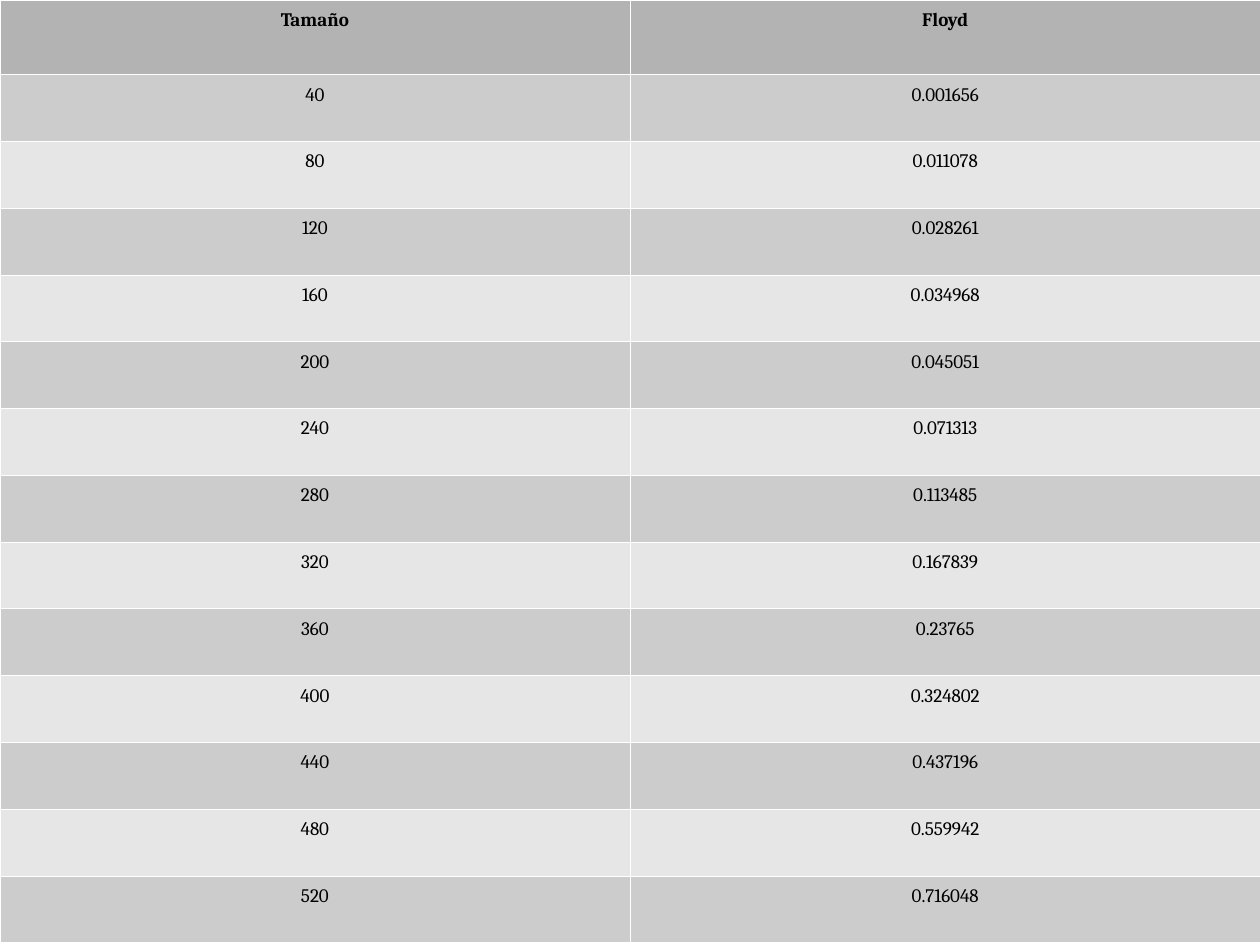
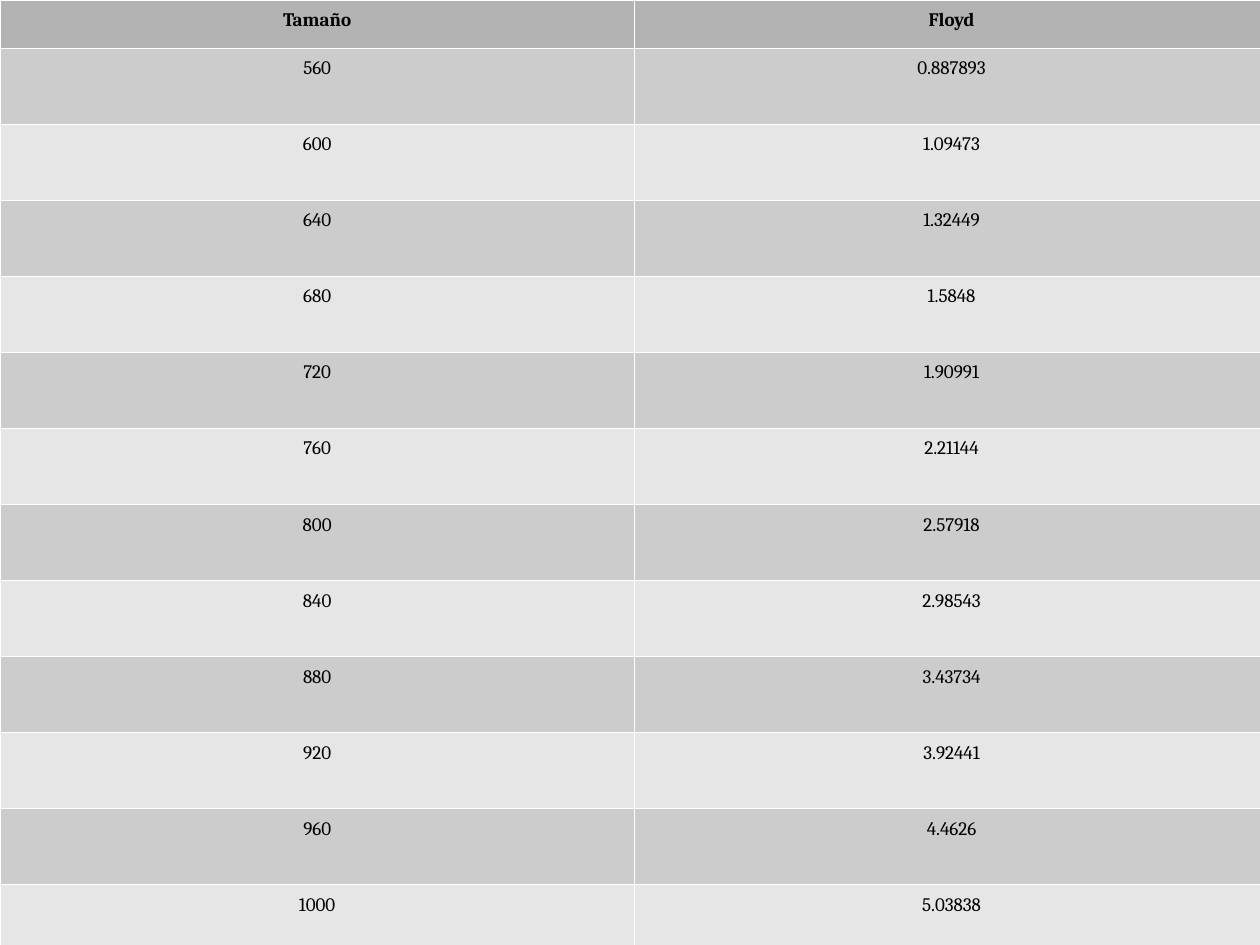
"""Build two slides of Floyd running times by problem size."""
from dataclasses import dataclass

import lxml.etree
import pptx
import pptx.dml.color
import pptx.enum.text
import pptx.oxml.ns
import pptx.slide
import pptx.table
import pptx.util

Cm = pptx.util.Cm
Inches = pptx.util.Inches
Pt = pptx.util.Pt
RGBColor = pptx.dml.color.RGBColor
qn = pptx.oxml.ns.qn


@dataclass(frozen=True)
class Theme:
    """Colours, type and borders shared by the slides."""
    header: str = "B3B3B3"
    bands: tuple[str, str] = ("CCCCCC", "E6E6E6")
    border: str = "FFFFFF"
    border_pt: float = 0.11
    text: str = "000000"
    font: str = "Cambria"
    size: float = 12
    line_spacing: float = 1.18


@dataclass(frozen=True)
class TimingTable:
    """Running times and the grid that holds them, in inches."""
    first_size: int
    times: tuple[str, ...]
    columns: tuple[float, float]
    header_row: float
    body_row: float
    last_row: float


THEME = Theme()
SLIDE_WIDTH, SLIDE_HEIGHT = Cm(28), Cm(21)
HEADINGS = ("Tamaño", "Floyd")
SIZE_STEP = 40
HEADER_1 = 0.65
BODY_1 = (8.25 - HEADER_1) / 13
HEADER_2, LAST_2 = 0.42, 0.53
BODY_2 = (8.27 - HEADER_2 - LAST_2) / 11

TABLES = (
    TimingTable(40, ("0.001656", "0.011078", "0.028261", "0.034968", "0.045051",
                     "0.071313", "0.113485", "0.167839", "0.23765", "0.324802",
                     "0.437196", "0.559942", "0.716048"),
                (5.51, 5.52), HEADER_1, BODY_1, BODY_1),
    TimingTable(560, ("0.887893", "1.09473", "1.32449", "1.5848", "1.90991",
                      "2.21144", "2.57918", "2.98543", "3.43734", "3.92441",
                      "4.4626", "5.03838"),
                (5.55, 5.55), HEADER_2, BODY_2, LAST_2),
)


def set_borders(cell: pptx.table._Cell) -> None:
    """Draw the four thin borders of a cell, ahead of its fill."""
    tc_pr = cell._tc.get_or_add_tcPr()
    for i, side in enumerate(("a:lnL", "a:lnR", "a:lnT", "a:lnB")):
        ln = lxml.etree.Element(qn(side), w=str(Pt(THEME.border_pt)))
        fill = lxml.etree.SubElement(ln, qn("a:solidFill"))
        lxml.etree.SubElement(fill, qn("a:srgbClr"), val=THEME.border)
        tc_pr.insert(i, ln)


def format_cell(cell: pptx.table._Cell, text: str, fill: str, bold: bool) -> None:
    """Write centred text in a cell and set its fill and borders."""
    cell.fill.solid()
    cell.fill.fore_color.rgb = RGBColor.from_string(fill)
    set_borders(cell)
    tf = cell.text_frame
    tf.text = text
    p = tf.paragraphs[0]
    p.alignment = pptx.enum.text.PP_ALIGN.CENTER
    p.line_spacing = THEME.line_spacing
    font = p.runs[0].font
    font.name = THEME.font
    font.size = Pt(THEME.size)
    font.bold = bold
    font.color.rgb = RGBColor.from_string(THEME.text)


def add_timings(s: pptx.slide.Slide, timing: TimingTable) -> None:
    """Add one table of sizes and times from the slide's top left corner."""
    rows = [HEADINGS] + [(str(timing.first_size + i * SIZE_STEP), time)
                         for i, time in enumerate(timing.times)]
    heights = [timing.header_row, *[timing.body_row] * (len(rows) - 2), timing.last_row]
    table = s.shapes.add_table(len(rows), len(HEADINGS), 0, 0,
                               Inches(sum(timing.columns)),
                               Inches(sum(heights))).table
    table.horz_banding = False
    for column, width in zip(table.columns, timing.columns):
        column.width = Inches(width)
    for i, (row, height) in enumerate(zip(rows, heights)):
        table.rows[i].height = Inches(height)
        fill = THEME.bands[(i - 1) % 2] if i else THEME.header
        for j, text in enumerate(row):
            format_cell(table.cell(i, j), text, fill, bold=i == 0)


def main() -> None:
    """Build and save the presentation."""
    prs = pptx.Presentation()
    prs.slide_width = SLIDE_WIDTH
    prs.slide_height = SLIDE_HEIGHT
    for timing in TABLES:
        add_timings(prs.slides.add_slide(prs.slide_layouts[6]), timing)
    prs.save("out.pptx")


if __name__ == "__main__":
    main()
